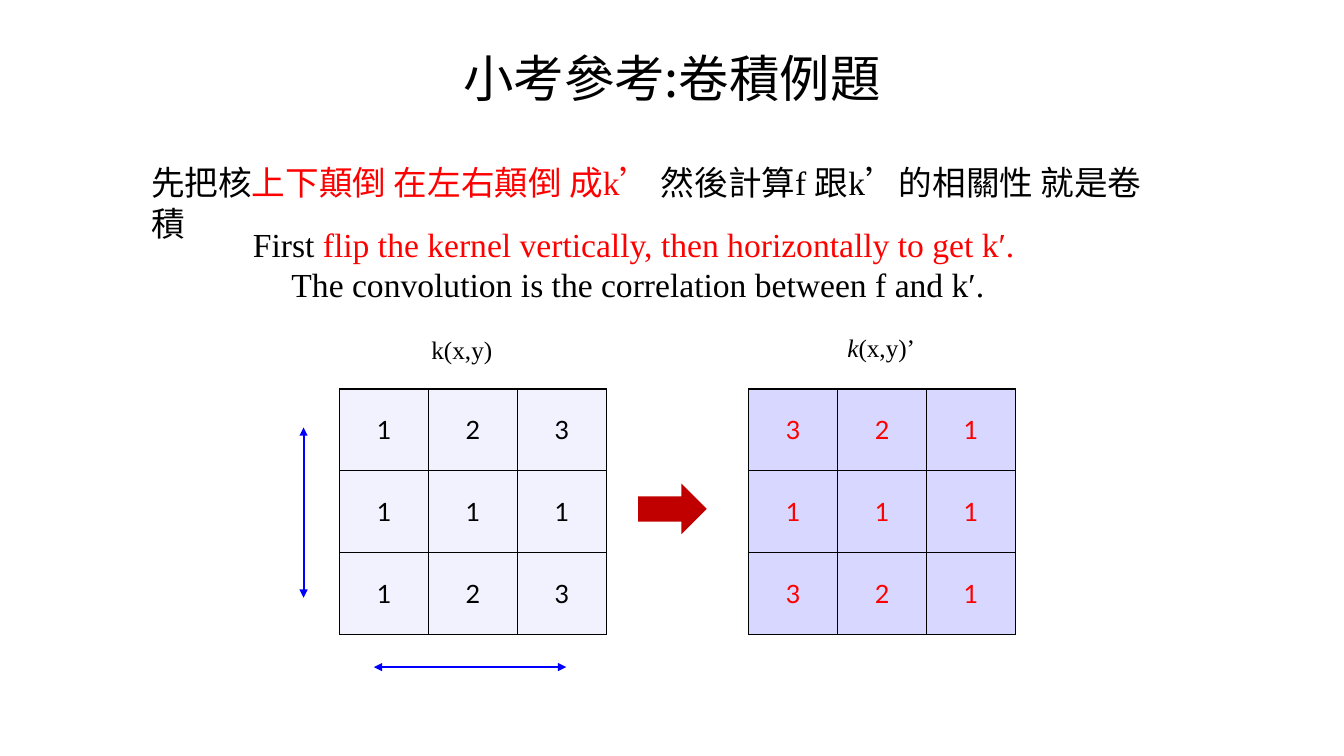
import pptx
import pptx.dml.color
import pptx.enum.shapes
import pptx.enum.text
import pptx.oxml.ns
import pptx.util
import lxml.etree

Cm = pptx.util.Cm
Pt = pptx.util.Pt
RGB = pptx.dml.color.RGBColor.from_string
qn = pptx.oxml.ns.qn
Align = pptx.enum.text.PP_ALIGN
Anchor = pptx.enum.text.MSO_ANCHOR

theme = {
    "black": "000000", "red": "FF0000", "blue": "0000FF", "arrow": "C00000",
    "pale": "D5D5FF", "deep": "7D7DFF",
    "title": 36, "body": 24, "label": 18,
    "serif": "Times New Roman", "sans": "Lato", "han": "Noto Sans CJK SC",
}


def write(para, runs, size, face, align=Align.CENTER):
    para.alignment = align
    para.font.size = Pt(size)
    para.font.name = face
    for text, color, slant in runs:
        run = para.add_run()
        run.text = text
        run.font.size = Pt(size)
        run.font.name = face
        run.font.italic = slant
        run.font.color.rgb = RGB(color)
        east = lxml.etree.Element(qn("a:ea"), typeface=theme["han"])
        run.font._element.find(qn("a:latin")).addnext(east)


def sub(node, tag, **attrs):
    return lxml.etree.SubElement(node, qn(tag), **attrs)


deck = pptx.Presentation()
deck.slide_width = Cm(33.87)
deck.slide_height = Cm(19.05)
slide = deck.slides.add_slide(deck.slide_layouts[5])
shapes = slide.shapes
black, red = theme["black"], theme["red"]

title = shapes.title
title.left, title.top, title.width, title.height = Cm(0), Cm(1.07), Cm(33.87), Cm(1.8)
title.text_frame.vertical_anchor = Anchor.TOP
title.text_frame.auto_size = pptx.enum.text.MSO_AUTO_SIZE.NONE
write(title.text_frame.paragraphs[0], [("小考參考:卷積例題", black, False)],
      theme["title"], theme["han"])

texts = [
    (3.56, 3.96, 26.19, 1.27, theme["body"], Align.LEFT, [[
        ("先把核", black, False),
        ("上下顛倒 在左右顛倒 成k’ ", red, False),
        ("然後計算f 跟k’的相關性 就是卷積", black, False)]]),
    (10.46, 8.31, 2.36, 1.02, theme["label"], Align.CENTER,
     [[("k(x,y)", black, False)]]),
    (21.03, 8.26, 2.36, 1.02, theme["label"], Align.CENTER,
     [[("k", black, True), ("(x,y)’", black, False)]]),
    (5.77, 5.51, 20.62, 2.31, theme["body"], Align.CENTER, [
        [("First ", black, False),
         ("flip the kernel vertically, then horizontally to get k′. ", red, False)],
        [("The convolution is the correlation between f and k′.", black, False)]]),
]
for left, top, width, height, size, align, lines in texts:
    frame = shapes.add_textbox(Cm(left), Cm(top), Cm(width), Cm(height)).text_frame
    frame.word_wrap = True
    for index, runs in enumerate(lines):
        para = frame.add_paragraph() if index else frame.paragraphs[0]
        write(para, runs, size, theme["serif"], align)

kernel = ["123", "111", "123"]
flipped = [row[::-1] for row in kernel[::-1]]
for left, grid, fill, ink in [(8.56, kernel, "pale", black), (18.87, flipped, "deep", red)]:
    table = shapes.add_table(3, 3, Cm(left), Cm(9.8), Cm(6.72), Cm(6.18)).table
    table.first_row = table.horz_banding = False
    for row, digits in enumerate(grid):
        table.rows[row].height = Cm(2.06)
        for col, digit in enumerate(digits):
            table.columns[col].width = Cm(2.24)
            cell = table.cell(row, col)
            cell.vertical_anchor = Anchor.MIDDLE
            write(cell.text_frame.paragraphs[0], [(digit, ink, False)],
                  theme["label"], theme["sans"])
            props = cell._tc.get_or_add_tcPr()
            for side in ("a:lnL", "a:lnR", "a:lnT", "a:lnB"):
                edge = sub(sub(props, side, w=str(Pt(1))), "a:solidFill")
                sub(edge, "a:srgbClr", val=black)
            cell.fill.solid()
            cell.fill.fore_color.rgb = RGB(theme[fill])
            tint = props.find(qn("a:solidFill")).find(qn("a:srgbClr"))
            sub(tint, "a:alpha", val="30000")

arrow = shapes.add_shape(pptx.enum.shapes.MSO_SHAPE.RIGHT_ARROW,
                         Cm(16.08), Cm(12.19), Cm(1.73), Cm(1.27))
arrow.shadow.inherit = False
arrow.fill.solid()
arrow.fill.fore_color.rgb = RGB(theme["arrow"])
arrow.line.fill.background()

for ends in [(9.42, 16.81, 14.27, 16.81), (7.65, 15.06, 7.65, 10.77)]:
    line = shapes.add_connector(pptx.enum.shapes.MSO_CONNECTOR.STRAIGHT, *map(Cm, ends))
    line.line.color.rgb = RGB(theme["blue"])
    line.line.width = Pt(1.5)
    props = line._element.spPr
    for tag in ("a:headEnd", "a:tailEnd"):
        sub(props.find(qn("a:ln")), tag, type="triangle")
    sub(props, "a:effectLst")

deck.save("out.pptx")
